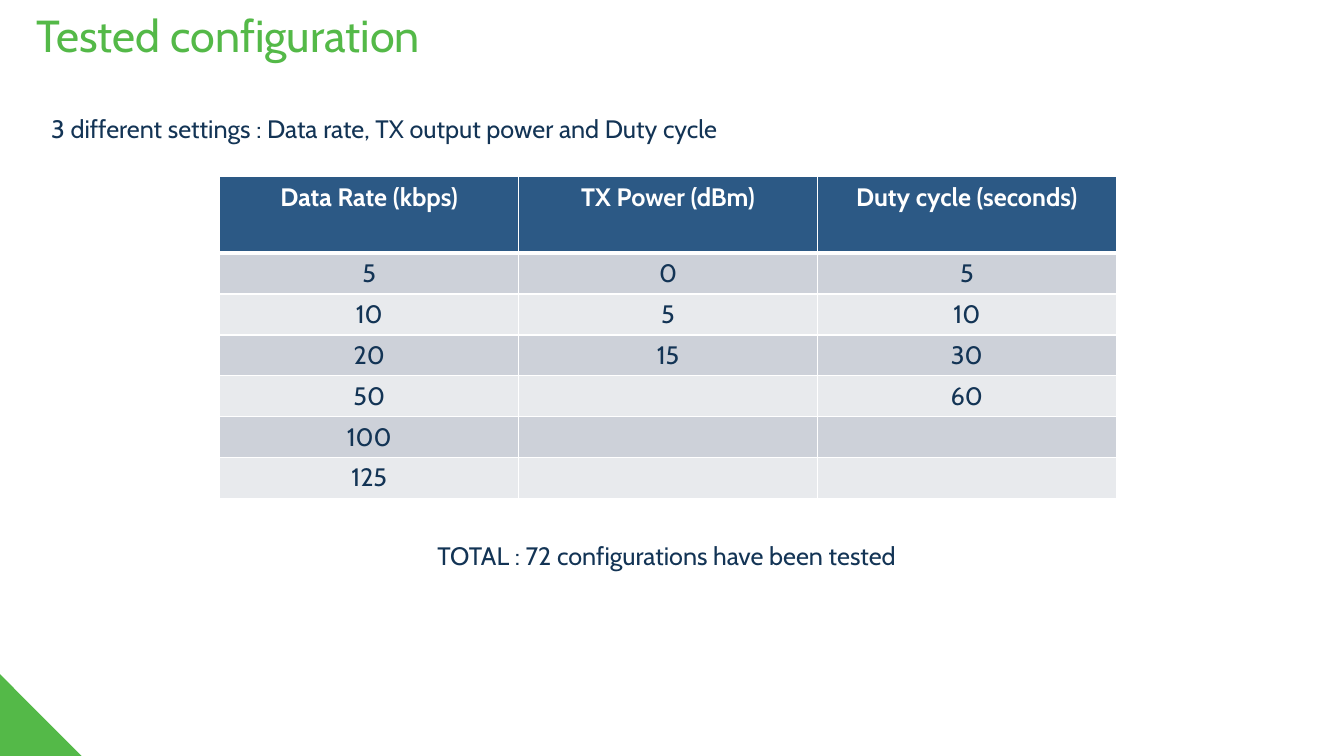
from dataclasses import dataclass

from lxml.etree import SubElement
from pptx import Presentation
from pptx.dml.color import RGBColor as RGB
from pptx.enum.shapes import MSO_SHAPE as SHAPE
from pptx.enum.text import MSO_ANCHOR as ANCHOR, PP_ALIGN as ALIGN
from pptx.oxml.ns import qn
from pptx.util import Cm, Pt


@dataclass(frozen=True)
class Theme:
    font: str = "Cabin"
    title_size: int = 32
    body_size: int = 18
    green: RGB = RGB(0x54, 0xB9, 0x48)
    navy: RGB = RGB(0x13, 0x34, 0x55)
    header: RGB = RGB(0x2C, 0x59, 0x85)
    bands: tuple = (RGB(0xCD, 0xD1, 0xD9), RGB(0xE8, 0xEA, 0xED))
    white: RGB = RGB(0xFF, 0xFF, 0xFF)


theme = Theme()


def write(paragraph, text, color, size=theme.body_size, bold=False, align=ALIGN.LEFT):
    paragraph.alignment = align
    run = paragraph.add_run()
    run.text = text
    run.font.name = theme.font
    run.font.size = Pt(size)
    run.font.bold = bold
    run.font.color.rgb = color


def set_borders(cell, bottom_width):
    properties = cell._tc.get_or_add_tcPr()
    for index, (side, width) in enumerate(
        (("a:lnL", 1), ("a:lnR", 1), ("a:lnT", 1), ("a:lnB", bottom_width))
    ):
        line = SubElement(properties, qn(side), w=str(Pt(width)))
        fill = SubElement(line, qn("a:solidFill"))
        SubElement(fill, qn("a:srgbClr"), val=str(theme.white))
        properties.insert(index, line)  # borders come before the cell fill


deck = Presentation()
deck.slide_width, deck.slide_height = Cm(33.87), Cm(19.05)
slide = deck.slides.add_slide(deck.slide_layouts[6])

# Corner triangle
corner_side = Cm(2.06)
corner = slide.shapes.add_shape(
    SHAPE.RIGHT_TRIANGLE, 0, deck.slide_height - corner_side, corner_side, corner_side
)
corner.shadow.inherit = False
corner.fill.solid()
corner.fill.fore_color.rgb = theme.green
corner.line.fill.background()

# Title
title = slide.shapes.add_textbox(Cm(0.66), 0, Cm(31.2), Cm(1.93)).text_frame
title.word_wrap = True
title.vertical_anchor = ANCHOR.MIDDLE
title.paragraphs[0].line_spacing = 0.9
write(title.paragraphs[0], "Tested configuration", theme.green, theme.title_size)

# Sentences above and below the table
for top, sentence, align in (
    (2.72, "3 different settings : Data rate, TX output power and Duty cycle", ALIGN.LEFT),
    (13.48, "TOTAL : 72 configurations have been tested", ALIGN.CENTER),
):
    frame = slide.shapes.add_textbox(Cm(1.04), Cm(top), Cm(31.52), Cm(1.03)).text_frame
    frame.word_wrap = True
    write(frame.paragraphs[0], sentence, theme.navy, align=align)

# Settings table: one list of tested values per column
settings = {
    "Data Rate (kbps)": (5, 10, 20, 50, 100, 125),
    "TX Power (dBm)": (0, 5, 15),
    "Duty cycle (seconds)": (5, 10, 30, 60),
}
header_height, value_height, column_width = Cm(1.93), Cm(1.03), Cm(7.53)
value_count = max(len(values) for values in settings.values())
table = slide.shapes.add_table(
    value_count + 1, len(settings), Cm(5.54), Cm(4.45),
    column_width * len(settings), header_height + value_height * value_count,
).table

for row_index, row in enumerate(table.rows):
    is_header = row_index == 0
    row.height = header_height if is_header else value_height
    for column, cell, (heading, values) in zip(table.columns, row.cells, settings.items()):
        column.width = column_width
        cell.fill.solid()
        cell.fill.fore_color.rgb = theme.header if is_header else theme.bands[(row_index - 1) % 2]
        set_borders(cell, bottom_width=3 if is_header else 1)
        paragraph = cell.text_frame.paragraphs[0]
        if is_header:
            write(paragraph, heading, theme.white, bold=True, align=ALIGN.CENTER)
        elif row_index <= len(values):
            write(paragraph, str(values[row_index - 1]), theme.navy, align=ALIGN.CENTER)

deck.save("out.pptx")
